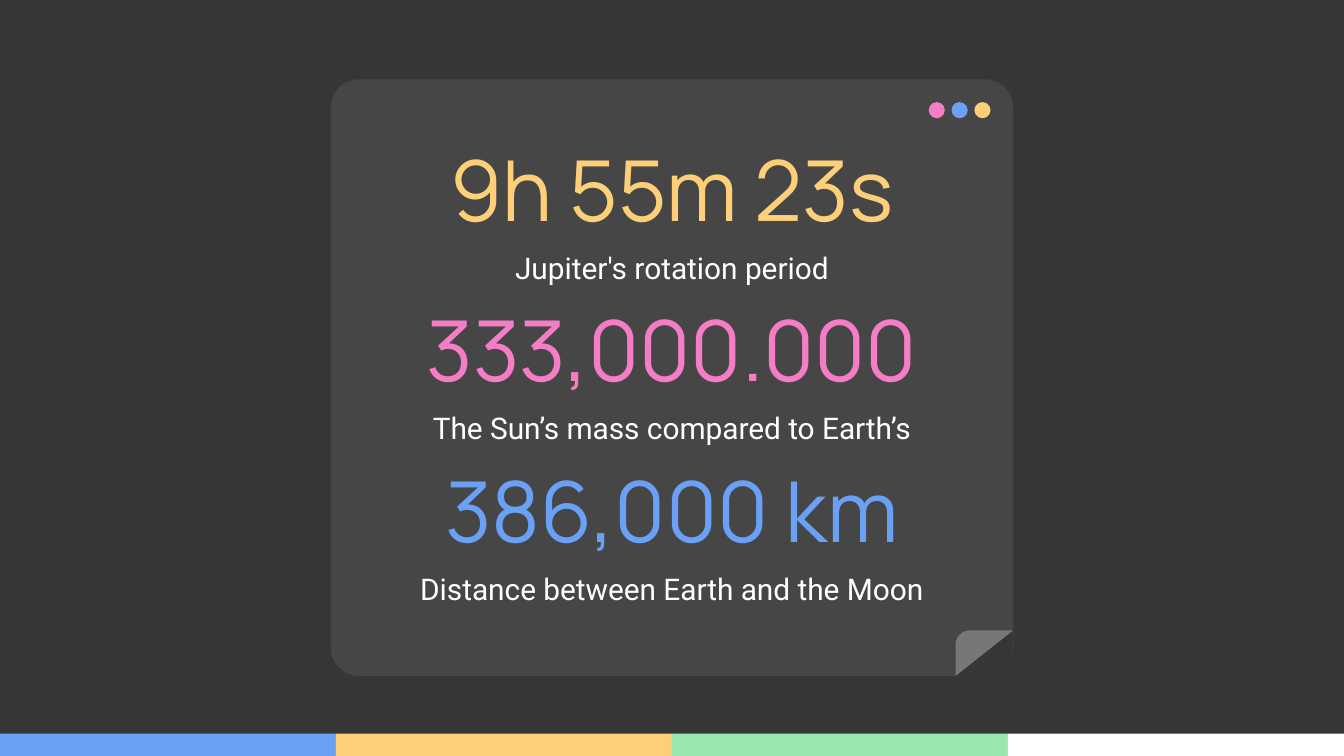
from math import cos, pi, sin

from pptx import Presentation
from pptx.dml.color import RGBColor
from pptx.enum.shapes import MSO_SHAPE as Shape
from pptx.enum.text import MSO_ANCHOR as Anchor, MSO_AUTO_SIZE as AutoSize, PP_ALIGN as Align
from pptx.oxml.ns import qn
from pptx.util import Inches, Pt

COLORS = {
    "background": "363636", "panel": "464646", "fold": "777777",
    "blue": "6AA1F7", "yellow": "FCCF78", "green": "9AE6AE",
    "pink": "F57DC6", "white": "FFFFFF",
}
FACTS = [
    ("9h 55m 23s", "yellow", "Jupiter's rotation period", 1.05, 1.79),
    ("333,000.000", "pink", "The Sun’s mass compared to Earth’s", 2.24, 2.98),
    ("386,000 km", "blue", "Distance between Earth and the Moon", 3.44, 4.18),
]


def color(name):
    return RGBColor.from_string(COLORS[name])


def paint(shape, fill):
    shape.shadow.inherit = False
    shape.fill.solid()
    shape.fill.fore_color.rgb = color(fill)
    shape.line.fill.background()


def add_block(slide, kind, left, top, width, height, fill):
    shape = slide.shapes.add_shape(
        kind, Inches(left), Inches(top), Inches(width), Inches(height))
    paint(shape, fill)
    return shape


def add_folded_corner(slide):
    left, top, right, bottom, radius = 7.11, 4.69, 7.54, 5.03, 0.11

    # Background triangle that cuts off the panel's corner
    cut = add_block(slide, Shape.RIGHT_TRIANGLE, left, top, 0.42, 0.34, "background")
    cut._element.spPr.find(qn("a:xfrm")).set("flipH", "1")
    cut.line.color.rgb = color("background")
    cut.line.width = Pt(0.75)

    # Folded flap with a rounded upper left corner
    steps = 12
    angles = [pi / 2 * (1 + step / steps) for step in range(steps + 1)]
    arc = [(left + radius + radius * cos(angle), top + radius - radius * sin(angle))
           for angle in angles]
    points = [(Inches(x), Inches(y)) for x, y in arc + [(left, bottom)]]
    builder = slide.shapes.build_freeform(Inches(right), Inches(top))
    builder.add_line_segments(points, close=True)
    paint(builder.convert_to_shape(), "fold")


def fill_text(shape, text, top, height, font, size, text_color):
    shape.left, shape.top = Inches(2.7), Inches(top)
    shape.width, shape.height = Inches(4.6), Inches(height)
    frame = shape.text_frame
    frame.word_wrap = True
    frame.auto_size = AutoSize.NONE
    frame.vertical_anchor = Anchor.MIDDLE
    frame.margin_left = frame.margin_right = Inches(0.1)
    frame.margin_top = frame.margin_bottom = Inches(0.1)

    paragraph = frame.paragraphs[0]
    paragraph.alignment = Align.CENTER
    paragraph.space_before = Pt(0)
    paragraph.line_spacing = 1.0
    run = paragraph.add_run()
    run.text = text
    run.font.name = font
    run.font.size = Pt(size)
    run.font.bold = False
    run.font.color.rgb = color(text_color)


def main():
    presentation = Presentation()
    # 16:9 format
    presentation.slide_width = Inches(10)
    presentation.slide_height = Inches(10 * 9 / 16)
    # The comparison layout offers a title and several body placeholders
    slide = presentation.slides.add_slide(presentation.slide_layouts[4])
    slide.background.fill.solid()
    slide.background.fill.fore_color.rgb = color("background")

    # Colour strip along the bottom
    for index, name in enumerate(["blue", "yellow", "green", "white"]):
        add_block(slide, Shape.RECTANGLE, index * 2.5, 5.46, 2.5, 0.17, name)

    # Panel with window dots and a folded corner
    panel = add_block(slide, Shape.ROUNDED_RECTANGLE, 2.46, 0.59, 5.08, 4.44, "panel")
    panel.adjustments[0] = 0.048
    for index, name in enumerate(["pink", "blue", "yellow"]):
        add_block(slide, Shape.OVAL, 6.91 + index * 0.17, 0.76, 0.12, 0.12, name)
    add_folded_corner(slide)

    # Figures and their captions, brought in front of the panel
    title, *bodies = list(slide.placeholders)
    for index, (figure, name, caption, figure_top, caption_top) in enumerate(FACTS):
        if index == 0:
            heading = title
        else:
            heading = slide.shapes.add_textbox(0, 0, 0, 0)
        fill_text(heading, figure, figure_top, 0.7, "Manrope", 45, name)

        body = bodies[index]
        properties = body.text_frame.paragraphs[0]._p.get_or_add_pPr()
        properties.set("marL", "0")
        properties.set("indent", "0")
        properties.append(properties.makeelement(qn("a:buNone"), {}))
        fill_text(body, caption, caption_top, 0.4, "Roboto", 16, "white")
        for shape in (heading, body):
            slide.shapes._spTree.append(shape._element)

    # Unused placeholder
    for body in bodies[len(FACTS):]:
        slide.shapes._spTree.remove(body._element)

    presentation.save("out.pptx")


if __name__ == "__main__":
    main()
